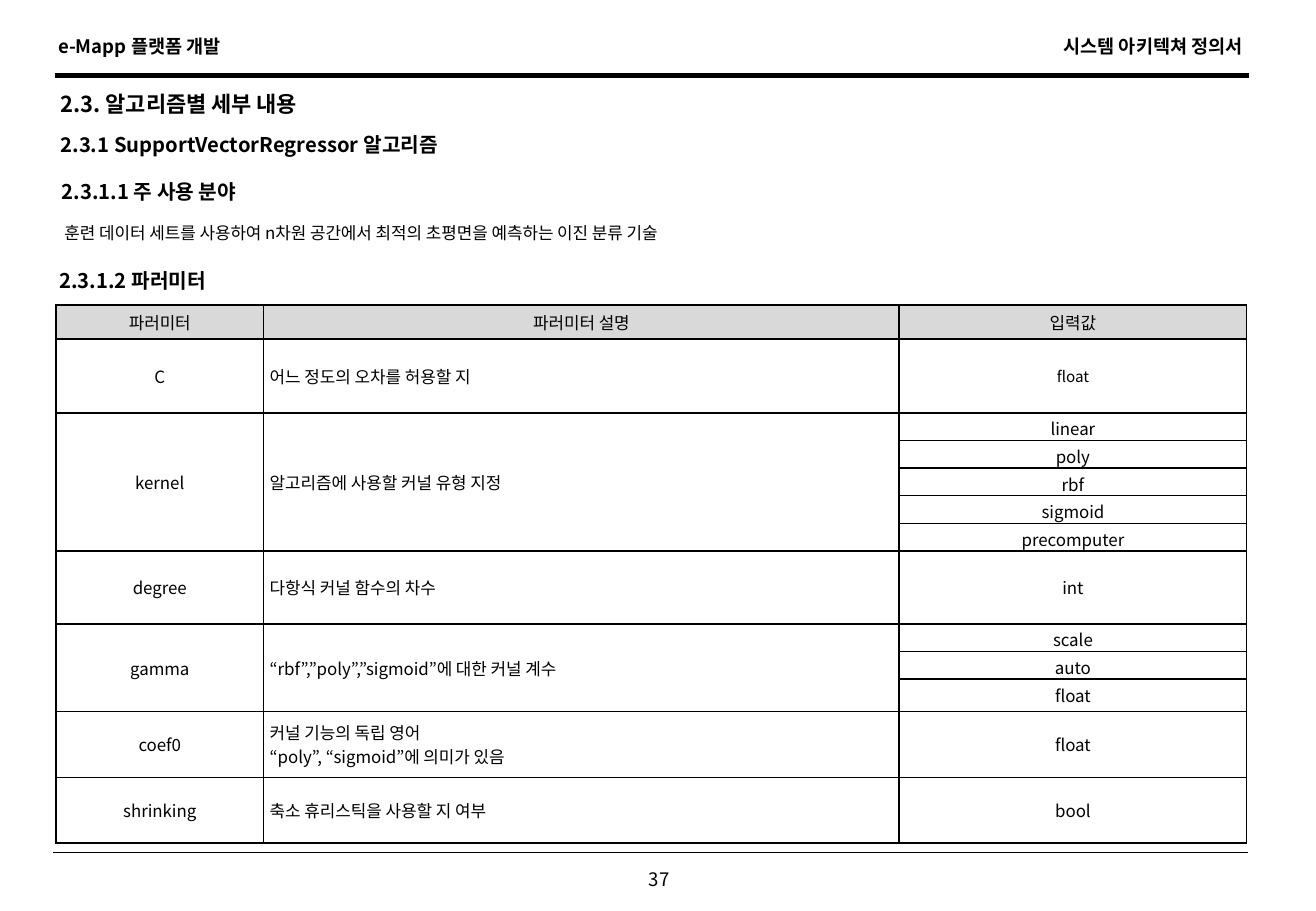
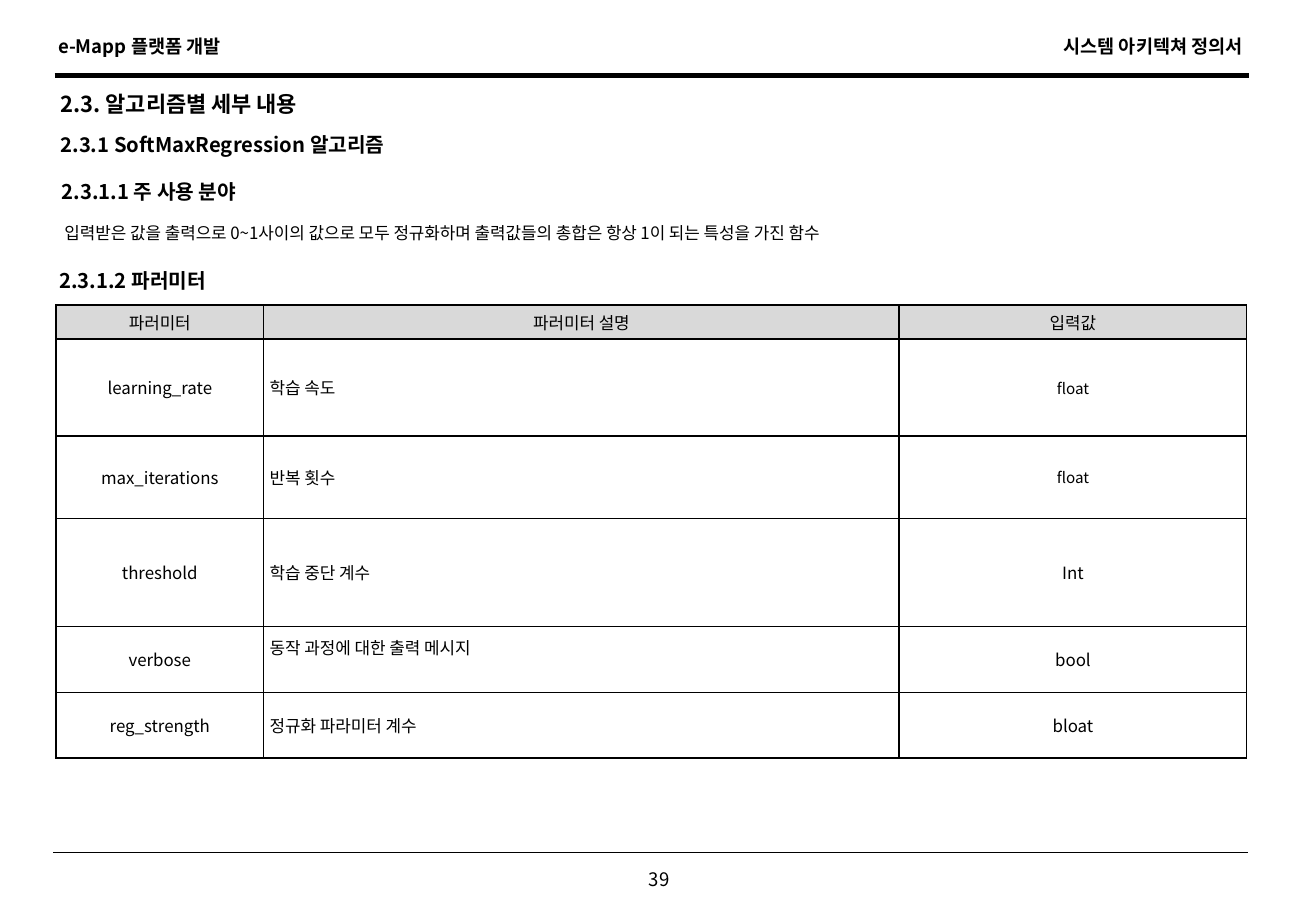
from dataclasses import dataclass

from lxml import etree
from pptx import Presentation
from pptx import util as u
from pptx.dml.color import RGBColor
from pptx.enum import shapes, text
from pptx.oxml import ns

FONT = "Noto Sans CJK KR"
BLACK, HEADER_GREY = "000000", "D9D9D9"
LEFT, CENTER, RIGHT = text.PP_ALIGN.LEFT, text.PP_ALIGN.CENTER, text.PP_ALIGN.RIGHT
MIDDLE, TOP = text.MSO_ANCHOR.MIDDLE, text.MSO_ANCHOR.TOP
COLUMN_WIDTHS = (1.71, 5.23, 2.86)
COLUMN_TITLES = ("파러미터", "파러미터 설명", "입력값")
HEADER_HEIGHT = 0.28


@dataclass(frozen=True)
class Box:
    left: float
    top: float
    width: float
    height: float

    def emu(self) -> tuple:
        return tuple(u.Inches(n) for n in (self.left, self.top, self.width, self.height))


@dataclass(frozen=True)
class Label:
    wording: str
    box: Box
    size: int
    bold: bool = True
    align: text.PP_ALIGN = LEFT


@dataclass(frozen=True)
class Value:
    wording: str
    height: float
    size: int = 10


@dataclass(frozen=True)
class Parameter:
    """A parameter with one table row per accepted value."""
    name: str
    description: str
    values: tuple[Value, ...]
    bottom_margin: float = 0.03


@dataclass(frozen=True)
class Algorithm:
    page: int
    name: str
    usage: str
    parameters: tuple[Parameter, ...]


ALGORITHMS = (
    Algorithm(
        37, "SupportVectorRegressor",
        "훈련 데이터 세트를 사용하여 n차원 공간에서 최적의 초평면을 예측하는 이진 분류 기술",
        (
            Parameter("C", "어느 정도의 오차를 허용할 지", (Value("float", 0.61, 9),)),
            Parameter("kernel", "알고리즘에 사용할 커널 유형 지정", tuple(
                Value(kernel, 0.14)
                for kernel in ("linear", "poly", "rbf", "sigmoid", "precomputer"))),
            Parameter("degree", "다항식 커널 함수의 차수", (Value("int", 0.6),)),
            Parameter("gamma", "“rbf”,”poly”,”sigmoid”에 대한 커널 계수",
                      (Value("scale", 0.13), Value("auto", 0.13), Value("float", 0.27))),
            Parameter("coef0", "커널 기능의 독립 영어\n“poly”, “sigmoid”에 의미가 있음",
                      (Value("float", 0.54),)),
            Parameter("shrinking", "축소 휴리스틱을 사용할 지 여부", (Value("bool", 0.54),)),
        )),
    Algorithm(
        39, "SoftMaxRegression",
        "입력받은 값을 출력으로 0~1사이의 값으로 모두 정규화하며 "
        "출력값들의 총합은 항상 1이 되는 특성을 가진 함수",
        (
            Parameter("learning_rate", "학습 속도", (Value("float", 0.8, 9),)),
            Parameter("max_iterations", "반복 횟수", (Value("float", 0.68, 9),)),
            Parameter("threshold", "학습 중단 계수", (Value("Int", 0.89),)),
            Parameter("verbose", "동작 과정에 대한 출력 메시지",
                      (Value("bool", 0.54),), bottom_margin=0.23),
            Parameter("reg_strength", "정규화 파라미터 계수", (Value("bloat", 0.54),)),
        )),
)


def rgb(hex_code: str) -> RGBColor:
    return RGBColor.from_string(hex_code)


def write(frame, wording: str, size: int, bold: bool = False, align=LEFT) -> None:
    frame.text = wording
    for paragraph in frame.paragraphs:
        paragraph.alignment = align
        for run in paragraph.runs:
            run.font.size = u.Pt(size)
            run.font.bold = bold
            run.font.color.rgb = rgb(BLACK)
            run.font.name = FONT
            east_asian = etree.SubElement(run.font._element, ns.qn("a:ea"))
            east_asian.set("typeface", FONT)


def set_margins(target, side: float, top: float, bottom: float) -> None:
    target.margin_left = target.margin_right = u.Inches(side)
    target.margin_top, target.margin_bottom = u.Inches(top), u.Inches(bottom)


def add_label(slide, label: Label, wrap: bool = True) -> None:
    frame = slide.shapes.add_textbox(*label.box.emu()).text_frame
    frame.word_wrap = wrap
    frame.auto_size = (text.MSO_AUTO_SIZE.NONE if wrap
                       else text.MSO_AUTO_SIZE.SHAPE_TO_FIT_TEXT)
    frame.vertical_anchor = MIDDLE if wrap else TOP
    write(frame, label.wording, label.size, label.bold, label.align)


def fill_placeholder(placeholder, label: Label):
    placeholder.left, placeholder.top, placeholder.width, placeholder.height = label.box.emu()
    frame = placeholder.text_frame
    frame.word_wrap = True
    frame.auto_size = text.MSO_AUTO_SIZE.NONE
    frame.vertical_anchor = MIDDLE
    write(frame, label.wording, label.size, label.bold, label.align)
    return frame


def add_rule(slide, left: float, top: float, weight: float) -> None:
    length = 9.83
    rule = slide.shapes.add_connector(
        shapes.MSO_CONNECTOR.STRAIGHT, u.Inches(left), u.Inches(top),
        u.Inches(left + length), u.Inches(top))
    rule.line.color.rgb = rgb(BLACK)
    rule.line.width = u.Pt(weight)
    etree.SubElement(rule._element.spPr, ns.qn("a:effectLst"))


def add_page_frame(slide, page: int) -> None:
    """Draw the running header, the footer and their rules."""
    add_rule(slide, 0.44, 7.02, 0.75)
    add_rule(slide, 0.45, 0.62, 2.75)
    for label in (
        Label(str(page), Box(5.21, 7.1, 0.43, 0.29), 11, False, CENTER),
        Label("시스템 아키텍쳐 정의서", Box(8.48, 0.24, 1.85, 0.29), 11, align=RIGHT),
        Label("e-Mapp 플랫폼 개발", Box(0.38, 0.24, 1.7, 0.29), 11),
    ):
        add_label(slide, label, wrap=False)


def style_cell(cell, fill: str | None = None) -> None:
    cell.vertical_anchor = MIDDLE
    set_margins(cell, 0.05, 0.03, 0.03)
    properties = cell._tc.get_or_add_tcPr()
    for side in ("lnL", "lnR", "lnT", "lnB"):
        border = etree.SubElement(properties, ns.qn(f"a:{side}"), w=str(u.Pt(1)))
        solid = etree.SubElement(border, ns.qn("a:solidFill"))
        etree.SubElement(solid, ns.qn("a:srgbClr"), val=BLACK)
    if fill:
        cell.fill.solid()
        cell.fill.fore_color.rgb = rgb(fill)
    else:
        cell.fill.background()


def add_parameter_table(slide, parameters: tuple[Parameter, ...]) -> None:
    heights = [HEADER_HEIGHT] + [v.height for p in parameters for v in p.values]
    box = Box(0.46, 2.51, sum(COLUMN_WIDTHS), sum(heights))
    table = slide.shapes.add_table(len(heights), len(COLUMN_WIDTHS), *box.emu()).table
    table.first_row = table.horz_banding = False
    for column, width in zip(table.columns, COLUMN_WIDTHS):
        column.width = u.Inches(width)
    for index, (row, height) in enumerate(zip(table.rows, heights)):
        row.height = u.Inches(height)
        for cell in row.cells:
            style_cell(cell, None if index else HEADER_GREY)

    for column, title in enumerate(COLUMN_TITLES):
        write(table.cell(0, column).text_frame, title, 10, align=CENTER)
    first = 1
    for parameter in parameters:
        last = first + len(parameter.values) - 1
        name, description = table.cell(first, 0), table.cell(first, 1)
        if last > first:
            name.merge(table.cell(last, 0))
            description.merge(table.cell(last, 1))
        write(name.text_frame, parameter.name, 10, align=CENTER)
        write(description.text_frame, parameter.description, 10)
        description.margin_bottom = u.Inches(parameter.bottom_margin)
        for row_index, value in enumerate(parameter.values, first):
            write(table.cell(row_index, 2).text_frame, value.wording, value.size, align=CENTER)
        first = last + 1


def add_algorithm_slide(deck, algorithm: Algorithm) -> None:
    slide = deck.slides.add_slide(deck.slide_layouts[1])
    add_page_frame(slide, algorithm.page)
    fill_placeholder(slide.shapes.title, Label(
        "2.3. 알고리즘별 세부 내용", Box(0.4, 0.65, 9.75, 0.41), 13))
    usage = fill_placeholder(slide.placeholders[1], Label(
        algorithm.usage, Box(0.49, 1.75, 9.76, 0.34), 10, False))
    set_margins(usage, 0.04, 0.04, 0.04)
    paragraph = usage.paragraphs[0]
    paragraph.space_before = u.Pt(0)
    properties = paragraph._p.get_or_add_pPr()
    properties.set("marL", "0")
    properties.set("indent", "0")
    etree.SubElement(properties, ns.qn("a:buNone"))
    for heading, left, top in (
        (f"2.3.1 {algorithm.name} 알고리즘", 0.4, 0.98),
        ("2.3.1.1 주 사용 분야", 0.41, 1.37),
        ("2.3.1.2 파러미터", 0.39, 2.1),
    ):
        add_label(slide, Label(heading, Box(left, top, 9.75, 0.41), 12))
    add_parameter_table(slide, algorithm.parameters)


def main() -> None:
    deck = Presentation()
    deck.slide_width, deck.slide_height = u.Inches(10.83), u.Inches(7.5)
    for algorithm in ALGORITHMS:
        add_algorithm_slide(deck, algorithm)
    deck.save("out.pptx")


if __name__ == "__main__":
    main()
